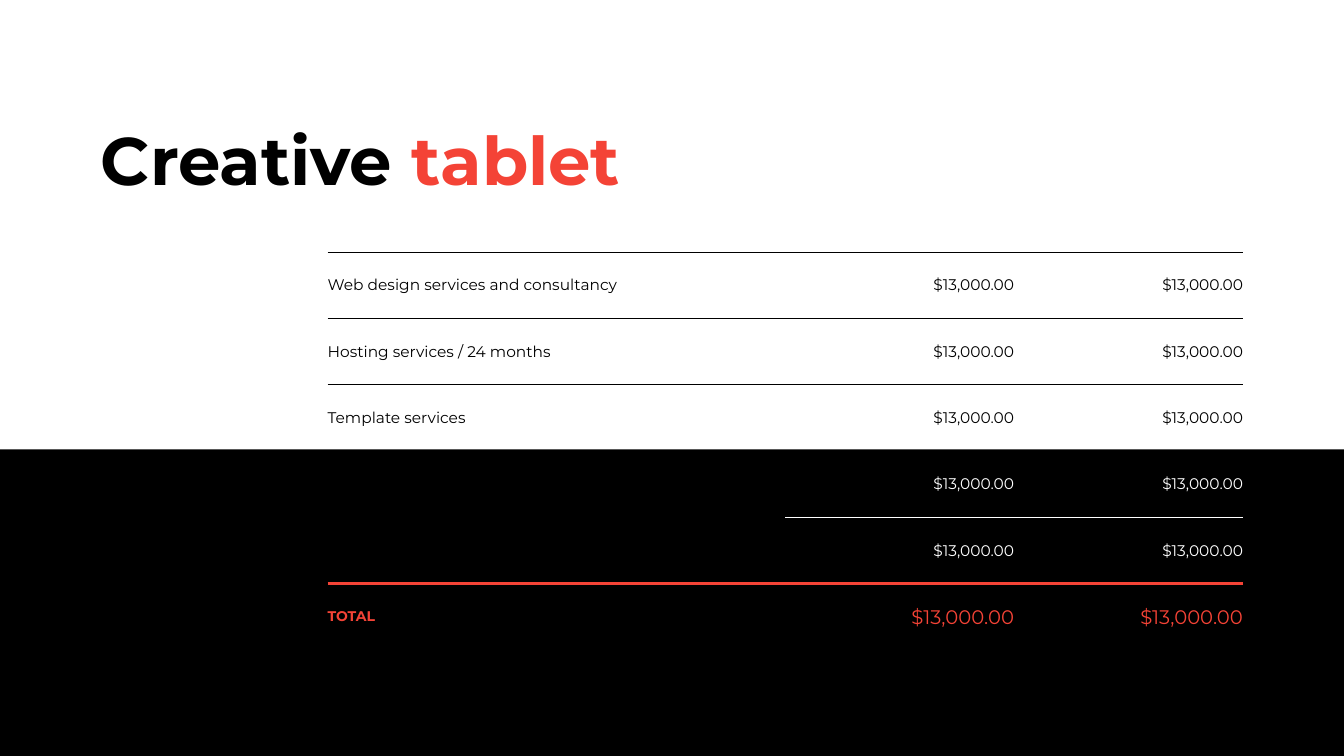
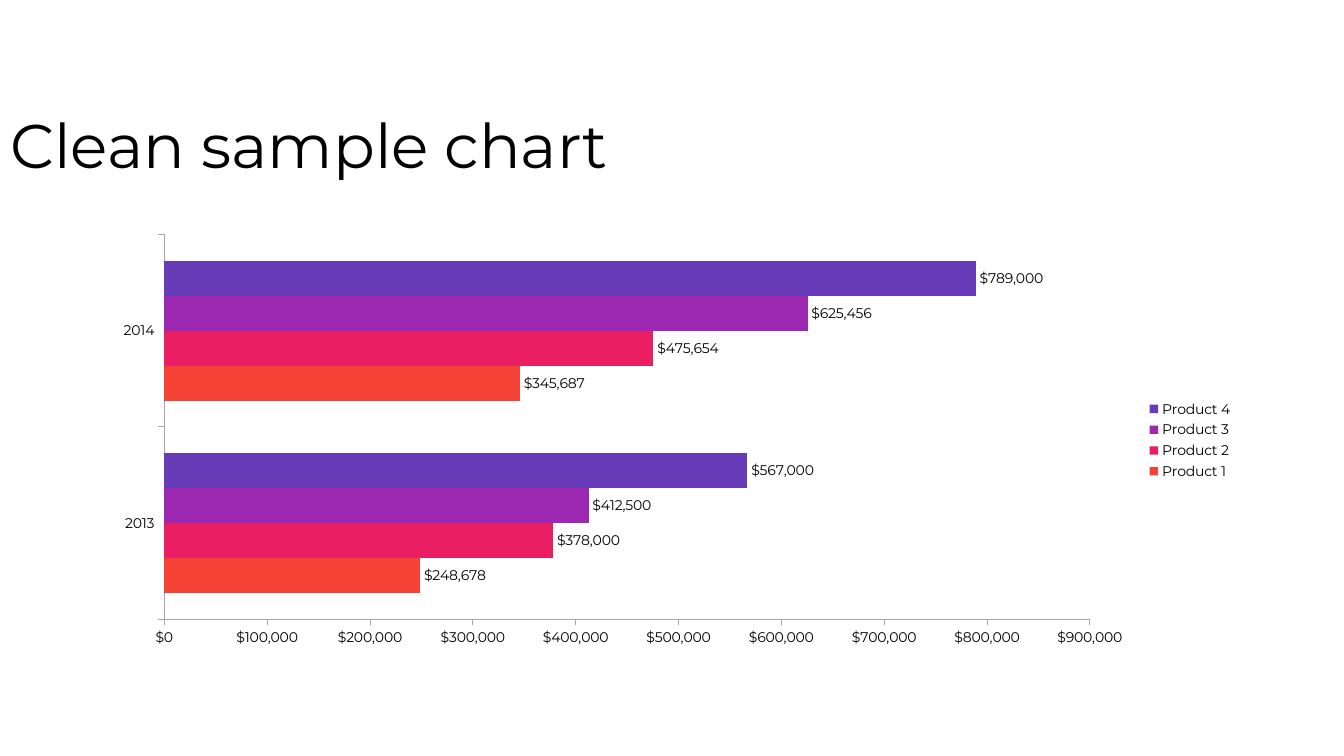
from dataclasses import dataclass

from lxml.etree import SubElement
from pptx import Presentation
from pptx.chart.data import CategoryChartData
from pptx.dml.color import RGBColor
from pptx.enum.chart import XL_CHART_TYPE as ChartType
from pptx.enum.chart import XL_LABEL_POSITION as LabelPosition
from pptx.enum.chart import XL_LEGEND_POSITION as LegendPosition
from pptx.enum.chart import XL_TICK_MARK as TickMark
from pptx.enum.shapes import MSO_SHAPE as Shape
from pptx.enum.text import MSO_ANCHOR as Anchor
from pptx.enum.text import MSO_AUTO_SIZE as AutoSize
from pptx.enum.text import PP_ALIGN as Align
from pptx.oxml.ns import qn
from pptx.util import Inches, Pt

COLUMNS, ROWS = 160, 90
UNIT = Inches(13.33333) / COLUMNS


@dataclass(frozen=True)
class Theme:
    font: str = "Montserrat"
    black: str = "000000"
    white: str = "FFFFFF"
    red: str = "F44336"
    axis: str = "A6A6A6"
    series: tuple = ("F44336", "E91E63", "9C27B0", "673AB7")
    display: int = 48
    title: int = 44
    body: int = 11
    small: int = 10
    total: int = 14
    thin: float = 0.5
    thick: float = 2.25


THEME = Theme()
PRICE = "$13,000.00"
MONEY_FORMAT = '"$"#,##0'


def rgb(color):
    return RGBColor.from_string(color)


def cells(count):
    return round(count * UNIT)


def frame(left, top, width, height):
    return tuple(cells(count) for count in (left, top, width, height))


def style_font(font, size, color=THEME.black, bold=False):
    font.name = THEME.font
    font.size = Pt(size)
    font.bold = bold
    font.color.rgb = rgb(color)


def add_span(para, text, **style):
    span = para.add_run()
    span.text = text
    style_font(span.font, **style)


def add_titled_page(deck, place, spans, size, spacing, bold=False, inset=0.1):
    """Add a title-only page; spans are (text, color) pairs of its title."""
    page = deck.slides.add_slide(deck.slide_layouts[5])
    title = page.shapes.title
    title.left, title.top, title.width, title.height = place
    box = title.text_frame
    box.auto_size = AutoSize.NONE
    box.word_wrap = True
    box.vertical_anchor = Anchor.TOP
    box.margin_left = Inches(inset)
    para = box.paragraphs[0]
    para.alignment = Align.LEFT
    para.line_spacing = spacing
    for text, color in spans:
        add_span(para, text, size=size, color=color, bold=bold)
    return page


def add_band(page, place, color):
    band = page.shapes.add_shape(Shape.RECTANGLE, *place)
    band.shadow.inherit = False
    band.fill.solid()
    band.fill.fore_color.rgb = rgb(color)
    band.line.fill.background()
    tree = page.shapes.title.element.getparent()
    tree.remove(band.element)
    tree.insert(2, band.element)


def set_border(cell, side, rule):
    """Draw a (color, width) rule on side L, R, T or B; None leaves it bare."""
    properties = cell._tc.get_or_add_tcPr()
    line = SubElement(properties, qn(f"a:ln{side}"))
    if rule is None:
        SubElement(line, qn("a:noFill"))
        return
    color, width = rule
    line.set("w", str(Pt(width)))
    fill = SubElement(line, qn("a:solidFill"))
    SubElement(fill, qn("a:srgbClr")).set("val", color)


def fill_cell(cell, text, is_label, **style):
    cell.margin_left = Inches(0 if is_label else 0.1)
    cell.margin_right = Inches(0.1 if is_label else 0)
    cell.vertical_anchor = Anchor.MIDDLE
    if text:
        para = cell.text_frame.paragraphs[0]
        para.alignment = Align.LEFT if is_label else Align.RIGHT
        add_span(para, text, **style)


def add_price_table(page, place, labels, styles, rules):
    """Rules hold one (label rule, price rule) pair for each row edge."""
    widths = (0.5, 0.25, 0.25)
    table = page.shapes.add_table(len(labels), len(widths), *place).table
    table.first_row = table.horz_banding = False
    for column, share in zip(table.columns, widths):
        column.width = round(place[2] * share)
    for row_index, label in enumerate(labels):
        table.rows[row_index].height = round(place[3] / len(labels))
        for column_index in range(len(widths)):
            is_label = column_index == 0
            cell = table.cell(row_index, column_index)
            kind = 0 if is_label else 1
            sides = (("L", None), ("R", None),
                     ("T", rules[row_index][kind]),
                     ("B", rules[row_index + 1][kind]))
            for side, rule in sides:
                set_border(cell, side, rule)
            cell.fill.background()
            fill_cell(cell, label if is_label else PRICE, is_label,
                      **styles[row_index][kind])


def style_axis(axis):
    axis.has_major_gridlines = False
    axis.major_tick_mark = TickMark.OUTSIDE
    axis.minor_tick_mark = TickMark.NONE
    axis.format.line.color.rgb = rgb(THEME.axis)
    axis.format.line.width = Pt(THEME.thin)
    style_font(axis.tick_labels.font, THEME.small)


def label_values(series):
    labels = series.data_labels
    labels.show_value = True
    labels.number_format = MONEY_FORMAT
    labels.number_format_is_linked = False
    labels.position = LabelPosition.OUTSIDE_END
    style_font(labels.font, THEME.small)


def add_bar_chart(page, place, categories, products):
    data = CategoryChartData(number_format=MONEY_FORMAT)
    data.categories = categories
    for name, values in products.items():
        data.add_series(name, values)
    chart = page.shapes.add_chart(ChartType.BAR_CLUSTERED, *place, data).chart
    chart.has_title = False
    style_font(chart.font, THEME.small)
    chart.has_legend = True
    chart.legend.position = LegendPosition.RIGHT
    chart.legend.include_in_layout = False
    style_font(chart.legend.font, THEME.small)
    for axis in (chart.category_axis, chart.value_axis):
        style_axis(axis)
    chart.value_axis.tick_labels.number_format = MONEY_FORMAT
    chart.value_axis.tick_labels.number_format_is_linked = False
    plot = chart.plots[0]
    plot.gap_width = 150
    plot.overlap = 0
    plot.vary_by_categories = False
    for series, color in zip(plot.series, THEME.series):
        series.format.fill.solid()
        series.format.fill.fore_color.rgb = rgb(color)
        label_values(series)


def add_table_page(deck):
    page = add_titled_page(
        deck, frame(12, 15.3, 63.2, 9.5),
        [("Creative ", THEME.black), ("tablet", THEME.red)],
        size=THEME.display, spacing=0.8, bold=True, inset=0)
    add_band(page, frame(0, 53.5, COLUMNS, ROWS - 53.5), THEME.black)
    labels = ["Web design services and consultancy",
              "Hosting services / 24 months", "Template services",
              "", "", "TOTAL"]
    dark = dict(size=THEME.body)
    light = dict(size=THEME.body, color=THEME.white)
    total_label = dict(size=THEME.small, color=THEME.red, bold=True)
    total_price = dict(size=THEME.total, color=THEME.red)
    styles = [(dark, dark)] * 3 + [(light, light)] * 2
    styles.append((total_label, total_price))
    black_rule = (THEME.black, THEME.thin)
    white_rule = (THEME.white, THEME.thin)
    red_rule = (THEME.red, THEME.thick)
    rules = [(black_rule, black_rule)] * 4
    rules += [(black_rule, white_rule), (red_rule, red_rule), (None, None)]
    add_price_table(page, frame(39, 30, 109, 47.4), labels, styles, rules)


def add_chart_page(deck):
    page = add_titled_page(
        deck, frame(0, 13.1, 98, 11.5),
        [("Clean sample chart", THEME.black)],
        size=THEME.title, spacing=0.9)
    products = {
        "Product 1": (248678, 345687),
        "Product 2": (378000, 475654),
        "Product 3": (412500, 625456),
        "Product 4": (567000, 789000),
    }
    add_bar_chart(page, frame(12, 26.9, 136, 51), ["2013", "2014"], products)


def main():
    deck = Presentation()
    deck.slide_width = cells(COLUMNS)
    deck.slide_height = cells(ROWS)
    add_table_page(deck)
    add_chart_page(deck)
    deck.save("out.pptx")


if __name__ == "__main__":
    main()
